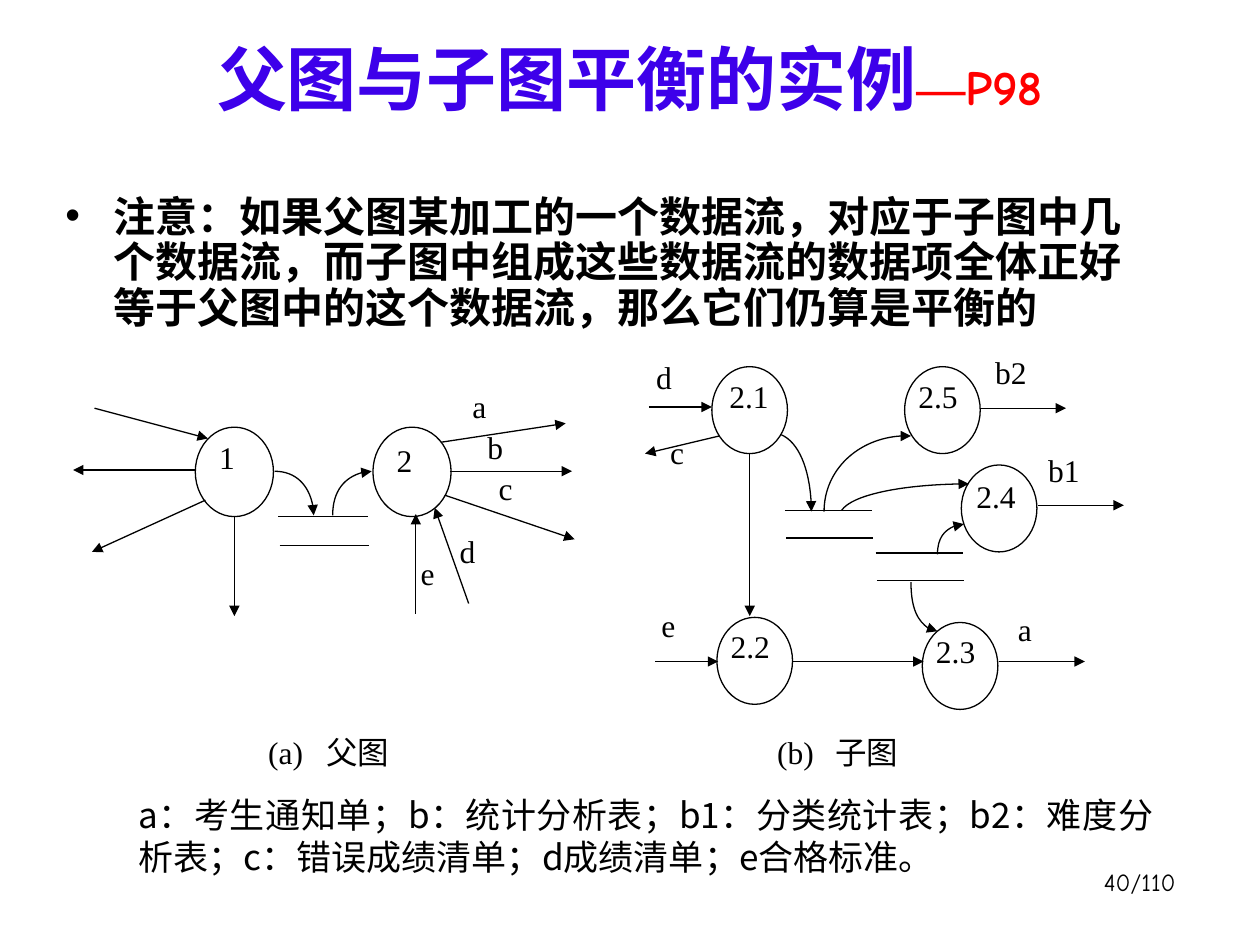
from lxml import etree
from pptx import Presentation
from pptx import util as u
from pptx.dml import color as hue
from pptx.enum import shapes, text
from pptx.oxml import ns

COLS, ROWS = 1000, 750
CELL = u.Inches(10) // COLS
BLACK = "000000"
SERIF, COMIC, SANS = "Times New Roman", "Comic Neue", "Noto Sans CJK SC"
JUST = text.PP_ALIGN.JUSTIFY


def cells(*spans):
    return [u.Emu(int(s * CELL)) for s in spans]


def ink(code):
    return hue.RGBColor.from_string(code)


def add(root, tag, **attrs):
    return etree.SubElement(root, ns.qn(tag), attrs)


def write(sld, box, *runs, size=18, face=SERIF, far=SANS, code=BLACK, bold=False,
          align=JUST, anchor=text.MSO_ANCHOR.TOP, lead=None, tab=None, mark=None):
    frame = sld.shapes.add_textbox(*cells(*box)).text_frame
    frame.word_wrap = True
    frame.vertical_anchor = anchor
    para = frame.paragraphs[0]
    para.alignment = align
    if lead:
        para.line_spacing = u.Pt(lead)
    props = para._p.get_or_add_pPr()
    if mark:
        dent = cells(38)[0]
        props.set("marL", str(dent))
        props.set("indent", str(-dent))
        add(props, "a:buFont", typeface="Arial")
        add(props, "a:buChar", char=mark)
    if tab:
        add(add(props, "a:tabLst"), "a:tab", pos=str(cells(tab)[0]), algn="l")
    for words, style in runs:
        run = para.add_run()
        run.text = words
        font = run.font
        font.size = u.Pt(style.get("size", size))
        font.name = face
        font.bold = bold
        font.color.rgb = ink(style.get("code", code))
        add(run._r.get_or_add_rPr(), "a:ea", typeface=style.get("far", far))


def label(sld, x, y, words):
    write(sld, (x, y, 62, 60), (words, {}))


def stroke(item, head=False):
    item.line.color.rgb = ink(BLACK)
    item.line.width = u.Pt(0.75)
    if head:
        add(item.line._get_or_add_ln(), "a:tailEnd", type="triangle")


def node(sld, x, y, wide, high, words, dx=1, dy=3):
    ring = sld.shapes.add_shape(shapes.MSO_SHAPE.OVAL, *cells(x, y, wide, high))
    ring.shadow.inherit = False
    ring.fill.background()
    stroke(ring)
    label(sld, x + dx, y + dy, words)


def line(sld, ends, head=True):
    wire = sld.shapes.add_connector(shapes.MSO_CONNECTOR.STRAIGHT, *cells(*ends))
    stroke(wire, head)
    add(wire._element.spPr, "a:effectLst")


def store(sld, x, y, wide, gap):
    for step in (0, 1):
        left, top = x + step, y + step * gap
        line(sld, (left, top, left + wide, top), head=False)


def curve(sld, *dots):
    start, *rest = [cells(*dot) for dot in dots]
    pen = sld.shapes.build_freeform(*start, scale=1.0)
    pen.add_line_segments(rest, close=False)
    bend = pen.convert_to_shape()
    path = bend._element.find(".//" + ns.qn("a:path"))
    cubic = add(path, "a:cubicBezTo")
    for leg in path.findall(ns.qn("a:lnTo")):
        cubic.append(leg[0])
        path.remove(leg)
    bend.shadow.inherit = False
    bend.fill.background()
    stroke(bend, True)


def parent(sld):
    for x, words in ((155, "1"), (296, "2")):
        node(sld, x, 339, 62, 71, words, 9, 4 if words == "1" else 6)
    store(sld, 221, 410, 71, 23)
    curve(sld, (218, 374), (235, 374), (249, 389), (249, 409))
    curve(sld, (264, 409), (264, 389), (278, 374), (295, 374))
    for ends in ((186, 410, 186, 489), (155, 373, 58, 373), (330, 487, 330, 408),
                 (357, 374, 454, 374), (372, 479, 345, 403), (75, 324, 165, 348),
                 (163, 397, 73, 438), (350, 351, 449, 336), (353, 393, 456, 428)):
        line(sld, ends)
    for x, y, words in ((365, 302, "a"), (377, 335, "b"), (386, 367, "c"),
                        (355, 417, "d"), (324, 435, "e")):
        label(sld, x, y, words)


def child(sld):
    for spot in ((565, 291, 60, 69, "2.1", 4), (569, 490, 60, 69, "2.2"),
                 (732, 494, 60, 69, "2.3"), (763, 369, 60, 69, "2.4", 2, 5),
                 (718, 291, 60, 69, "2.5")):
        node(sld, *spot)
    store(sld, 623, 405, 69, 22)
    store(sld, 695, 439, 69, 22)
    for dots in (((654, 406), (654, 373), (685, 344), (723, 346)),
                 ((668, 405), (676, 393), (718, 384), (769, 384)),
                 ((620, 345), (634, 351), (644, 376), (644, 406)),
                 ((744, 440), (744, 427), (753, 416), (765, 416)),
                 ((723, 462), (723, 484), (733, 501), (744, 501))):
        curve(sld, *dots)
    for ends in ((824, 401, 892, 401), (778, 324, 846, 324), (629, 525, 733, 525),
                 (520, 525, 570, 525), (793, 525, 861, 525), (515, 323, 565, 323),
                 (595, 360, 595, 489), (571, 346, 512, 360)):
        line(sld, ends)
    for x, y, words in ((511, 279, "d"), (522, 339, "c"), (515, 476, "e"),
                        (780, 275, "b2"), (822, 353, "b1"), (798, 479, "a")):
        label(sld, x, y, words)


def main():
    deck = Presentation()
    deck.slide_width, deck.slide_height = cells(COLS, ROWS)
    sld = deck.slides.add_slide(deck.slide_layouts[6])
    write(sld, (50, 17, 900, 83), ("父图与子图平衡的实例", {}),
          ("—P98", {"size": 28, "code": "FF0000", "far": SERIF}),
          size=40, face=COMIC, code="3D00EA", bold=True, lead=48,
          align=text.PP_ALIGN.CENTER, anchor=text.MSO_ANCHOR.BOTTOM)
    write(sld, (42, 150, 867, 158),
          ("注意：如果父图某加工的一个数据流，对应于子图中几个数据流，"
           "而子图中组成这些数据流的数据项全体正好等于父图中的这个数据流，"
           "那么它们仍算是平衡的", {}),
          size=24, face=COMIC, bold=True, lead=26, mark="•",
          align=text.PP_ALIGN.LEFT)
    parent(sld)
    child(sld)
    for x, words in ((203, "(a)\t父图"), (607, "(b)\t子图")):
        write(sld, (x, 577, 167, 64), (words, {}), tab=46)
    write(sld, (100, 625, 825, 108),
          ("a：考生通知单；b：统计分析表；b1：分类统计表；b2：难度分析表；"
           "c：错误成绩清单；d成绩清单；e合格标准。", {}),
          size=20, face=SANS, lead=24)
    write(sld, (735, 683, 208, 50), ("40/110", {}), size=14, face=COMIC,
          align=text.PP_ALIGN.RIGHT)
    deck.save("out.pptx")


if __name__ == "__main__":
    main()
